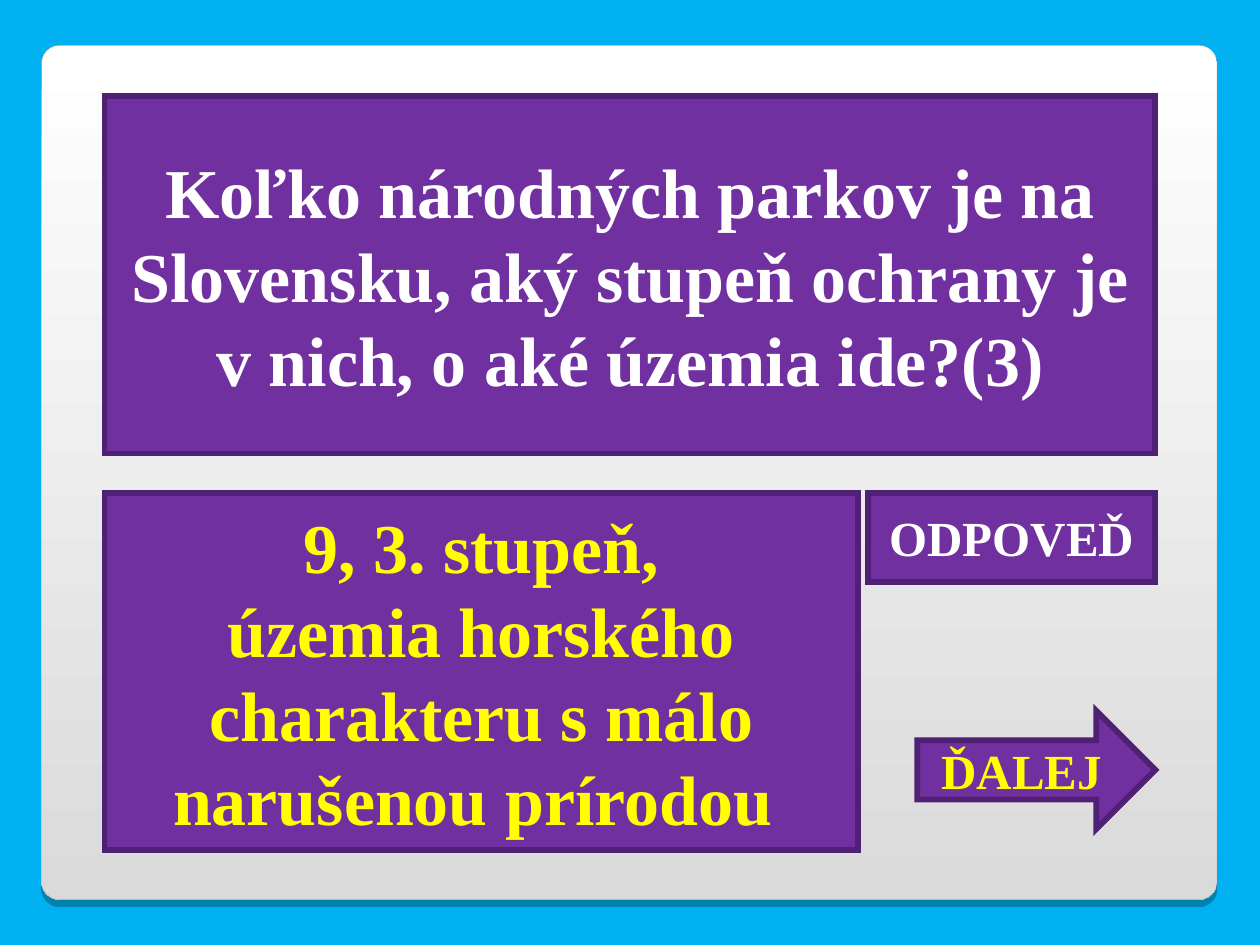
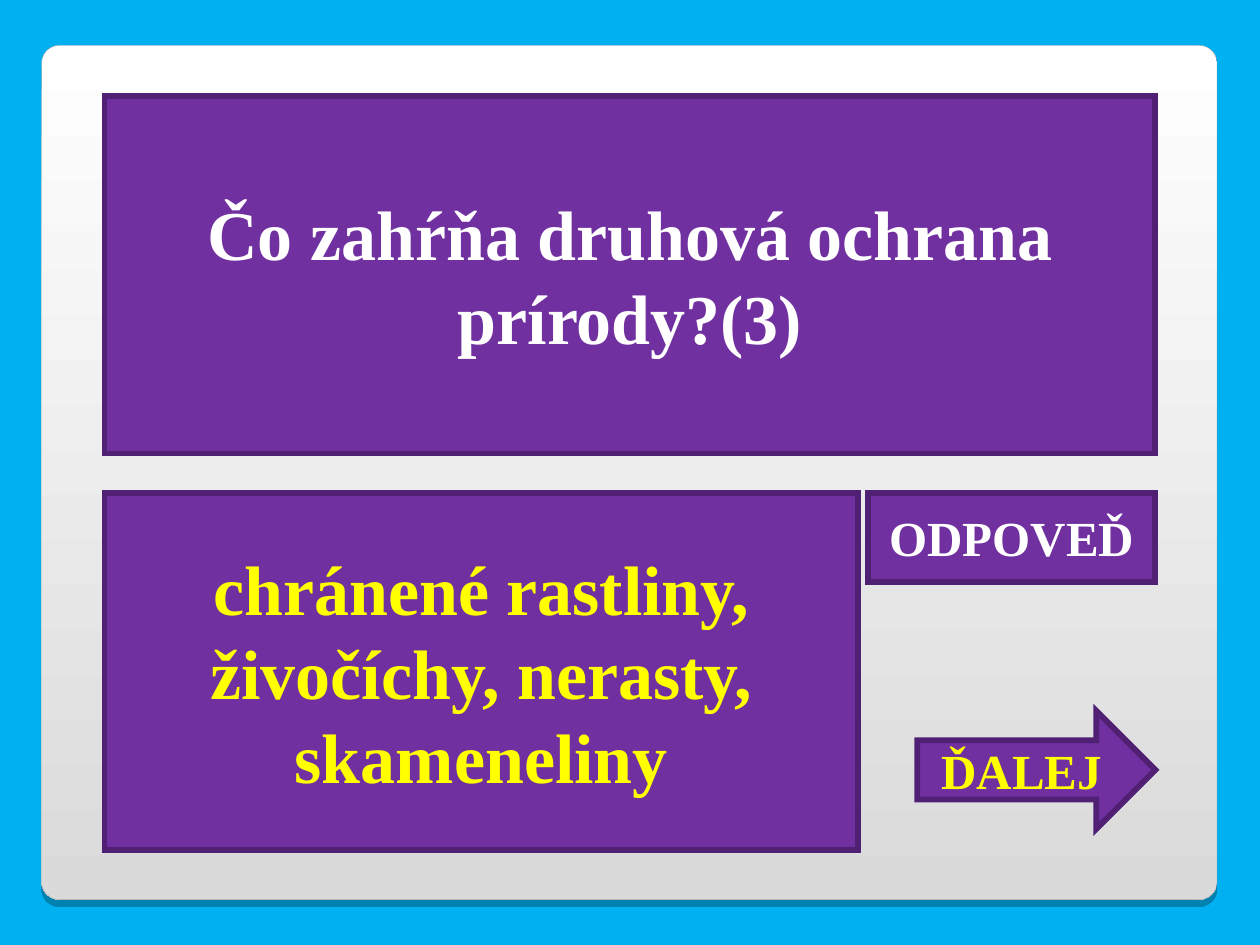
import pptx
import pptx.util
import pptx.dml.color
import pptx.enum.shapes
import pptx.enum.text
import pptx.oxml
import pptx.oxml.ns
import lxml.etree
from dataclasses import dataclass

Inches, Pt = pptx.util.Inches, pptx.util.Pt
RGB = pptx.dml.color.RGBColor.from_string
SHAPE = pptx.enum.shapes.MSO_SHAPE
qn = pptx.oxml.ns.qn

QUIZ = [
    {
        "question": "Koľko národných parkov je na Slovensku, aký stupeň ochrany je "
                    "v nich, o aké územia ide?(3)",
        "answer": "9, 3. stupeň,\núzemia horského charakteru s málo narušenou prírodou ",
    },
    {
        "question": "Čo zahŕňa druhová ochrana prírody?(3)",
        "answer": "chránené rastliny, živočíchy, nerasty, skameneliny",
    },
]
ANSWER_LABEL = "ODPOVEĎ"
NEXT_LABEL = "ĎALEJ"


@dataclass(frozen=True)
class Theme:
    font: str = "Times New Roman"
    background: str = "00B0F0"
    panel_top: str = "FFFFFF"
    panel_bottom: str = "DADADA"
    panel_edge: str = "A4A3A3"
    box: str = "7030A0"
    box_edge: str = "502074"
    question: str = "FFFFFF"
    answer: str = "FFFF00"
    large: int = 40
    small: int = 28
    panel_edge_width: float = 0.17
    box_edge_width: float = 3.34


THEME = Theme()

LEFT, RIGHT = 0.83, 9.17
QUESTION_TOP, ANSWER_TOP = 0.76, 3.91
BOX_HEIGHT, ANSWER_WIDTH = 2.84, 5.98
BUTTON_WIDTH, BUTTON_HEIGHT = 2.28, 0.71
ARROW_TOP, ARROW_WIDTH, ARROW_HEIGHT = 5.64, 1.89, 0.94

SHADOW = (
    '<a:outerShdw xmlns:a="http://schemas.openxmlformats.org/drawingml/2006/main" '
    'blurRad="0" dist="50800" dir="5400000" algn="t" rotWithShape="0">'
    '<a:srgbClr val="000000"><a:alpha val="25000"/></a:srgbClr></a:outerShdw>'
)


def place(shape, left, top, width, height):
    shape.left, shape.top = Inches(left), Inches(top)
    shape.width, shape.height = Inches(width), Inches(height)


def add_shape(slide, kind, *area):
    shape = slide.shapes.add_shape(kind, *map(Inches, area))
    shape.shadow.inherit = False
    return shape


def style_box(box, text, color, size):
    box.fill.solid()
    box.fill.fore_color.rgb = RGB(THEME.box)
    box.line.color.rgb = RGB(THEME.box_edge)
    box.line.width = Pt(THEME.box_edge_width)
    edge = box.element.spPr.find(qn("a:ln"))
    lxml.etree.SubElement(edge, qn("a:miter"), lim="800000")
    frame = box.text_frame
    frame.text = text
    frame.word_wrap = True
    frame.auto_size = pptx.enum.text.MSO_AUTO_SIZE.NONE
    frame.vertical_anchor = pptx.enum.text.MSO_ANCHOR.MIDDLE
    for paragraph in frame.paragraphs:
        paragraph.alignment = pptx.enum.text.PP_ALIGN.CENTER
        for run in paragraph.runs:
            run.font.name = THEME.font
            run.font.size = Pt(size)
            run.font.bold = True
            run.font.color.rgb = RGB(color)


def decorate_layout(layout, slide):
    layout.background.fill.solid()
    layout.background.fill.fore_color.rgb = RGB(THEME.background)
    panel = add_shape(slide, SHAPE.ROUNDED_RECTANGLE, 0.33, 0.36, 9.33, 6.78)
    panel.adjustments[0] = 0.021
    panel.fill.gradient()
    panel.fill.gradient_angle = 270
    for stop, color in zip(panel.fill.gradient_stops, (THEME.panel_top, THEME.panel_bottom)):
        stop.color.rgb = RGB(color)
    panel.line.color.rgb = RGB(THEME.panel_edge)
    panel.line.width = Pt(THEME.panel_edge_width)
    panel.element.spPr.find(qn("a:effectLst")).append(pptx.oxml.parse_xml(SHADOW))
    panel.element.nvSpPr.cNvPr.set("id", "20")
    layout.shapes.element.insert(2, panel.element)


def fill_slide(slide, card):
    question = slide.shapes.title
    place(question, LEFT, QUESTION_TOP, RIGHT - LEFT, BOX_HEIGHT)
    style_box(question, card["question"], THEME.question, THEME.large)

    answer = add_shape(slide, SHAPE.RECTANGLE, LEFT, ANSWER_TOP, ANSWER_WIDTH, BOX_HEIGHT)
    style_box(answer, card["answer"], THEME.answer, THEME.large)

    answer_button = add_shape(slide, SHAPE.RECTANGLE, RIGHT - BUTTON_WIDTH, ANSWER_TOP,
                              BUTTON_WIDTH, BUTTON_HEIGHT)
    style_box(answer_button, ANSWER_LABEL, THEME.question, THEME.small)

    next_arrow = add_shape(slide, SHAPE.RIGHT_ARROW, RIGHT - ARROW_WIDTH, ARROW_TOP,
                           ARROW_WIDTH, ARROW_HEIGHT)
    style_box(next_arrow, NEXT_LABEL, THEME.answer, THEME.small)


def main():
    deck = pptx.Presentation()
    deck.slide_width, deck.slide_height = Inches(10), Inches(7.5)
    layout = deck.slide_layouts.get_by_name("Title Only")
    slides = [deck.slides.add_slide(layout) for _ in QUIZ]
    decorate_layout(layout, slides[0])
    for slide, card in zip(slides, QUIZ):
        fill_slide(slide, card)
    deck.save("out.pptx")


if __name__ == "__main__":
    main()
